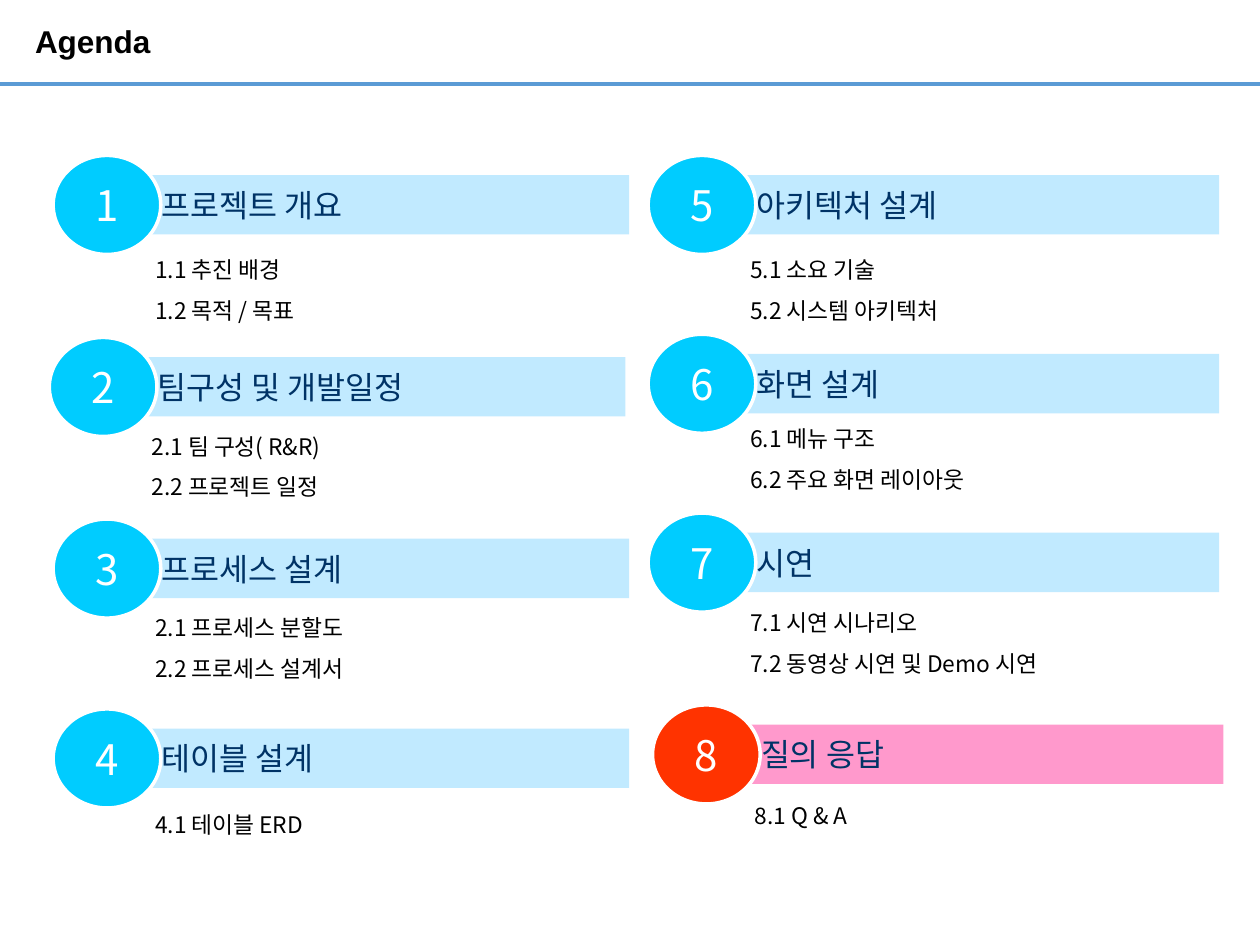
from dataclasses import dataclass

from lxml import etree
from pptx import Presentation
from pptx.dml.color import RGBColor
from pptx.enum.shapes import MSO_CONNECTOR, MSO_SHAPE
from pptx.enum.text import MSO_ANCHOR, PP_ALIGN
from pptx.oxml.ns import qn
from pptx.util import Pt

RECT, OVAL = MSO_SHAPE.RECTANGLE, MSO_SHAPE.OVAL
STRAIGHT = MSO_CONNECTOR.STRAIGHT
TOP, MIDDLE = MSO_ANCHOR.TOP, MSO_ANCHOR.MIDDLE
LEFT, CENTER, JUSTIFY = PP_ALIGN.LEFT, PP_ALIGN.CENTER, PP_ALIGN.JUSTIFY
TITLE_ONLY = 5


@dataclass(frozen=True)
class Theme:
    title_font: str = "Arial"
    body_font: str = "Noto Sans CJK KR"
    ink: str = "000000"
    white: str = "FFFFFF"
    rule: str = "5B9BD5"
    heading: str = "003366"
    bar: str = "C1EAFF"
    badge: str = "00CCFF"
    last_bar: str = "FF99CC"
    last_badge: str = "FF3300"
    title_size: float = 18
    heading_size: float = 18
    badge_size: float = 24
    detail_size: float = 13


class AgendaSlide:
    def __init__(self, deck, theme):
        self.theme = theme
        self.slide = deck.slides.add_slide(deck.slide_layouts[TITLE_ONLY])
        self.shapes = self.slide.shapes

    def set_text(self, shape, lines, size, color, align, anchor, insets,
                 font=None, bold=False, spacing=1.0, gap=0):
        frame = shape.text_frame
        frame_format = {"word_wrap": True, "vertical_anchor": anchor}
        for side, inset in zip(("left", "top", "right", "bottom"), insets):
            frame_format[f"margin_{side}"] = Pt(inset)
        for name, value in frame_format.items():
            setattr(frame, name, value)
        face = font or self.theme.body_font
        for index, line in enumerate(lines):
            paragraph = frame.paragraphs[0] if index == 0 else frame.add_paragraph()
            paragraph_format = {"alignment": align, "line_spacing": spacing,
                                "space_before": Pt(gap if index else 0)}
            for name, value in paragraph_format.items():
                setattr(paragraph, name, value)
            run = paragraph.add_run()
            run.text = line
            for name, value in {"name": face, "size": Pt(size), "bold": bold}.items():
                setattr(run.font, name, value)
            run.font.color.rgb = RGBColor.from_string(color)
            # East Asian glyphs take the same face
            properties = run._r.get_or_add_rPr()
            etree.SubElement(properties, qn("a:ea")).set("typeface", face)

    def title(self, text, left, top, width, height):
        title = self.shapes.title
        box = {"left": left, "top": top, "width": width, "height": height}
        for name, value in box.items():
            setattr(title, name, Pt(value))
        self.set_text(title, [text], self.theme.title_size, self.theme.ink, LEFT,
                      MIDDLE, (0, 0, 0, 0), self.theme.title_font, True, 0.9)

    def rule(self, y, width):
        rule = self.shapes.add_connector(STRAIGHT, 0, Pt(y), Pt(width), Pt(y))
        rule.line.color.rgb = RGBColor.from_string(self.theme.rule)
        rule.line.width = Pt(2.25)
        etree.SubElement(rule._element.spPr, qn("a:effectLst"))

    def block(self, kind, left, top, width, height, fill, outline=None):
        block = self.shapes.add_shape(kind, Pt(left), Pt(top), Pt(width), Pt(height))
        block.shadow.inherit = False
        block.fill.solid()
        block.fill.fore_color.rgb = RGBColor.from_string(fill)
        if outline:
            block.line.color.rgb = RGBColor.from_string(outline)
            block.line.width = Pt(2)
        else:
            block.line.fill.background()
        return block

    def bar(self, text, left, top, width, fill):
        bar = self.block(RECT, left, top, width, 34, fill)
        self.set_text(bar, [text], self.theme.heading_size, self.theme.heading,
                      LEFT, MIDDLE, (37.3, 3.6, 7.2, 3.6))

    def badge(self, number, left, top, fill):
        badge = self.block(OVAL, left, top, 61.5, 56.6, fill, self.theme.white)
        self.set_text(badge, [str(number)], self.theme.badge_size,
                      self.theme.white, CENTER, MIDDLE, (0, 3.6, 0, 3.6))

    def details(self, lines, left, top):
        details = self.shapes.add_textbox(Pt(left), Pt(top), Pt(270),
                                          Pt(27 * len(lines)))
        self.set_text(details, lines, self.theme.detail_size, self.theme.ink,
                      JUSTIFY, TOP, (1.4, 3.6, 1.4, 3.6), spacing=1.2, gap=4.3)

    def section(self, number, heading, lines, left, top, details_top, width,
                bar_fill, badge_fill):
        self.bar(heading, left + 24.7, top, width, bar_fill)
        self.badge(number, left, top - 11.2, badge_fill)
        self.details(lines, left + 57, details_top)


# Section: heading, detail lines, horizontal nudge, bar top, details top
LEFT_COLUMN = [
    ("프로젝트 개요", ["1.1 추진 배경", "1.2 목적 / 목표"], 0, 100, 139.7),
    ("팀구성 및 개발일정", ["2.1 팀 구성( R&R)", "2.2 프로젝트 일정"], -2.2, 204, 240.5),
    ("프로세스 설계", ["2.1 프로세스 분할도", "2.2 프로세스 설계서"], 0, 307.8, 344.2),
    ("테이블 설계", ["4.1 테이블 ERD"], 0, 416.3, 456.5),
]
RIGHT_COLUMN = [
    ("아키텍처 설계", ["5.1 소요 기술", "5.2 시스템 아키텍처"], 0, 100, 139.7),
    ("화면 설계", ["6.1 메뉴 구조", "6.2 주요 화면 레이아웃"], 0, 202.2, 236.2),
    ("시연", ["7.1 시연 시나리오", "7.2 동영상 시연 및 Demo 시연"], 0, 304.4, 341.3),
    ("질의 응답", ["8.1 Q & A"], 2.5, 414, 451.4),
]
COLUMNS = [(30.4, 304.5, LEFT_COLUMN), (370.4, 301.6, RIGHT_COLUMN)]

deck = Presentation()
deck.slide_width, deck.slide_height = Pt(720), Pt(540)
theme = Theme()
agenda = AgendaSlide(deck, theme)

# Header
agenda.rule(48.2, 720)
agenda.title("Agenda", 20, 0, 471, 49)

# Numbered sections, the closing one in its own colours
number = 0
for column_left, bar_width, sections in COLUMNS:
    for heading, lines, nudge, top, details_top in sections:
        number += 1
        closing = number == len(LEFT_COLUMN) + len(RIGHT_COLUMN)
        agenda.section(number, heading, lines, column_left + nudge, top,
                       details_top, bar_width,
                       theme.last_bar if closing else theme.bar,
                       theme.last_badge if closing else theme.badge)

deck.save("out.pptx")
